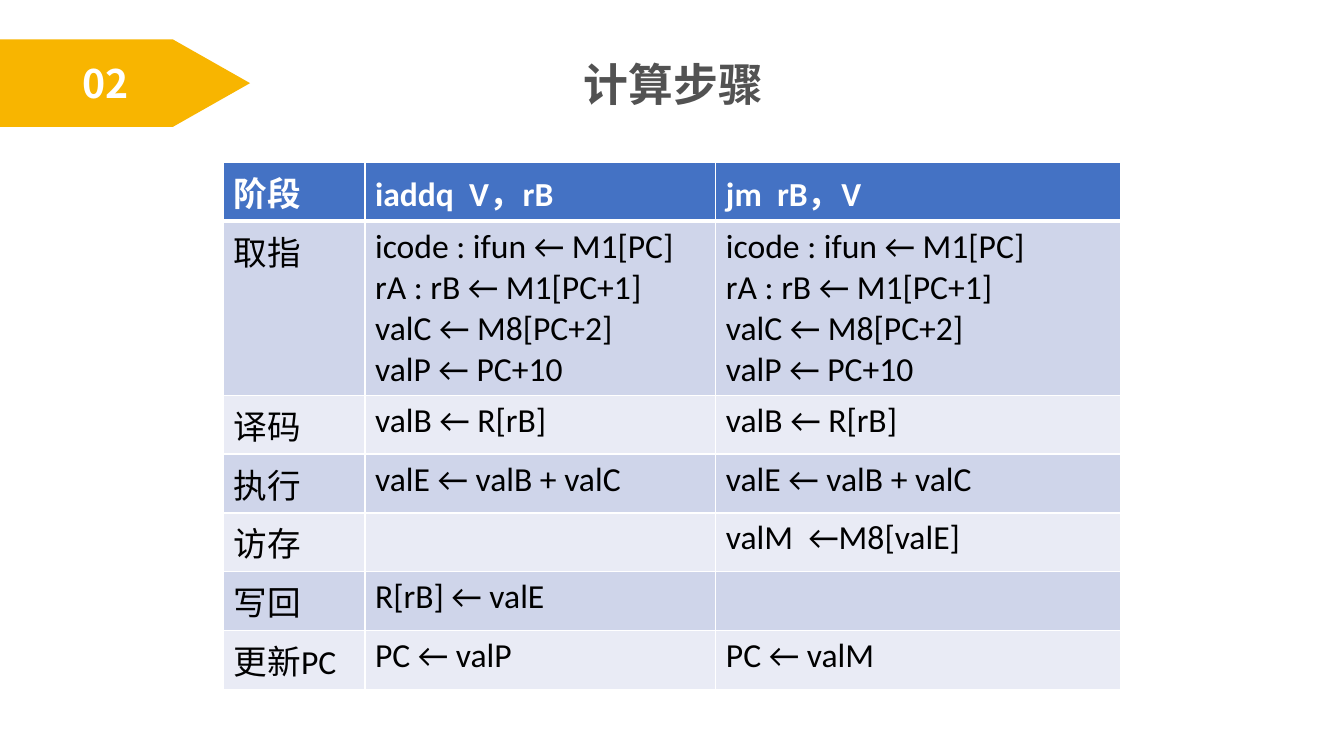
"""Builds the slide on computing steps of two instructions, stage by stage."""
import lxml.etree
import pptx
import pptx.dml.color
import pptx.enum.shapes
import pptx.enum.text
import pptx.oxml.ns
import pptx.util

WIDTH, HEIGHT = 13.33, 7.5
CJK_FONT = "Noto Sans CJK SC"
SECTION = "02"
TITLE = "计算步骤"
FETCH = "icode : ifun ← M1[PC]\nrA : rB ← M1[PC+1]\nvalC ← M8[PC+2]\nvalP ← PC+10"
STAGES = [
    ("阶段", "iaddq  V，rB", "jm  rB，V"),
    ("取指", FETCH, FETCH),
    ("译码", "valB ← R[rB]", "valB ← R[rB]"),
    ("执行", "valE ← valB + valC", "valE ← valB + valC"),
    ("访存", "", "valM  ←M8[valE]"),
    ("写回", "R[rB] ← valE", ""),
    ("更新PC", "PC ← valP", "PC ← valM"),
]
COLUMN_WIDTHS = (1.4, 3.48, 4.01)
LINE_HEIGHT, CELL_PADDING = 0.4, 0.1
HEADER_FILL, BAND_FILLS = "4472C4", ("E9EBF5", "CFD5EA")

SECTION_FORMAT = {"name": CJK_FONT, "size": 28, "color": "FFFFFF", "bold": True}
TITLE_FORMAT = {"name": CJK_FONT, "size": 32, "color": "525252", "bold": True}
HEADER_FORMAT = {"name": "Calibri", "size": 24, "color": "FFFFFF", "bold": True}
BODY_FORMAT = {**HEADER_FORMAT, "color": "000000", "bold": False}


def rgb(value):
    """Turn a hex string into a colour."""
    return pptx.dml.color.RGBColor.from_string(value)


def inches(*lengths):
    """Turn lengths in inches into slide units."""
    return [pptx.util.Inches(length) for length in lengths]


def write(frame, text, style, align):
    """Fill a text frame and format each run."""
    frame.text = text
    for paragraph in frame.paragraphs:
        paragraph.alignment = align
        for run in paragraph.runs:
            run.font.color.rgb = rgb(style["color"])
            run.font.size = pptx.util.Pt(style["size"])
            for key in ("name", "bold"):
                setattr(run.font, key, style[key])
            if style["name"] == CJK_FONT:
                east_asian = lxml.etree.SubElement(run.font._element, pptx.oxml.ns.qn("a:ea"))
                east_asian.set("typeface", CJK_FONT)


def add_borders(cell, widths):
    """Draw white borders of the given point widths around a cell."""
    properties = cell._tc.get_or_add_tcPr()
    for side, width in widths.items():
        line = lxml.etree.SubElement(properties, pptx.oxml.ns.qn(f"a:ln{side}"))
        line.set("w", str(pptx.util.Pt(width)))
        fill = lxml.etree.SubElement(line, pptx.oxml.ns.qn("a:solidFill"))
        lxml.etree.SubElement(fill, pptx.oxml.ns.qn("a:srgbClr")).set("val", "FFFFFF")


def add_heading(slide):
    """Place the section tag and the title."""
    align = pptx.enum.text.PP_ALIGN.CENTER
    middle = pptx.enum.text.MSO_ANCHOR.MIDDLE
    tag = slide.shapes.add_shape(
        pptx.enum.shapes.MSO_SHAPE.PENTAGON, *inches(0, 0.39, 2.48, 0.87))
    tag.adjustments[0] = 0.882
    tag.shadow.inherit = False
    tag.fill.solid()
    tag.fill.fore_color.rgb = rgb("F8B500")
    tag.line.fill.background()
    tag.text_frame.vertical_anchor = middle
    write(tag.text_frame, SECTION, SECTION_FORMAT, align)

    title = slide.shapes.title
    title.left, title.top, title.width, title.height = inches(4.17, 0.51, 5.02, 0.64)
    frame_format = {"word_wrap": True, "vertical_anchor": middle,
                    "auto_size": pptx.enum.text.MSO_AUTO_SIZE.NONE}
    for key, value in frame_format.items():
        setattr(title.text_frame, key, value)
    write(title.text_frame, TITLE, TITLE_FORMAT, align)


def add_stages(slide):
    """Place the table of stages with its banded rows."""
    heights = [CELL_PADDING + LINE_HEIGHT * max(text.count("\n") + 1 for text in stage)
               for stage in STAGES]
    total = sum(COLUMN_WIDTHS)
    table = slide.shapes.add_table(
        len(STAGES), len(COLUMN_WIDTHS),
        *inches((WIDTH - total) / 2, 1.61, total, sum(heights))).table
    for column, width in zip(table.columns, inches(*COLUMN_WIDTHS)):
        column.width = width
    for row, height in zip(table.rows, inches(*heights)):
        row.height = height
    for r, stage in enumerate(STAGES):
        for c, text in enumerate(stage):
            cell = table.cell(r, c)
            add_borders(cell, {"L": 1, "R": 1, "T": 3 if r == 1 else 1, "B": 3 if r == 0 else 1})
            cell.fill.solid()
            cell.fill.fore_color.rgb = rgb(BAND_FILLS[r % 2] if r else HEADER_FILL)
            write(cell.text_frame, text, BODY_FORMAT if r else HEADER_FORMAT,
                  pptx.enum.text.PP_ALIGN.LEFT)


def main():
    """Build and save the slide."""
    deck = pptx.Presentation()
    deck.slide_width, deck.slide_height = inches(WIDTH, HEIGHT)
    slide = deck.slides.add_slide(deck.slide_layouts[5])
    add_heading(slide)
    add_stages(slide)
    deck.save("out.pptx")


if __name__ == "__main__":
    main()
